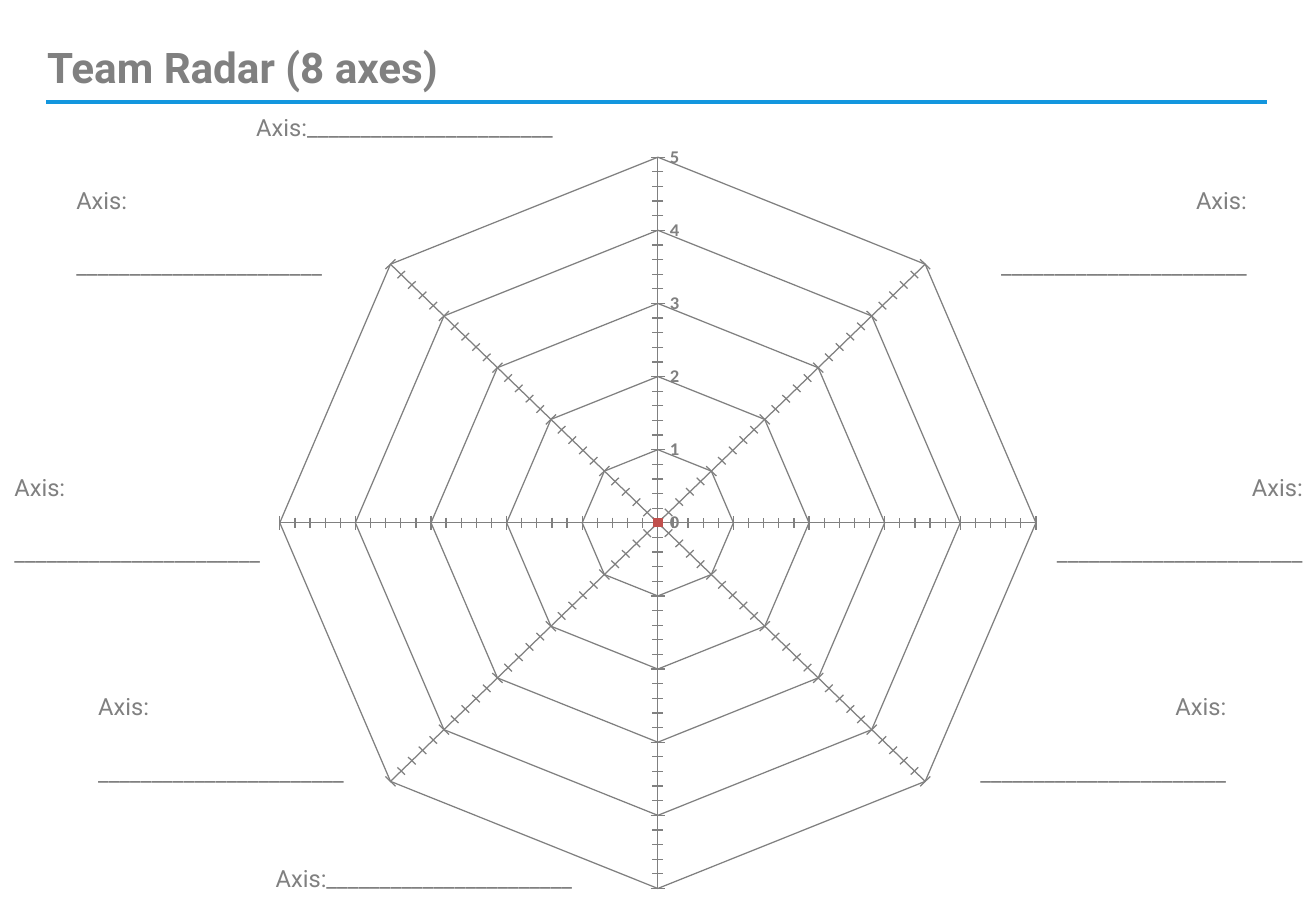
from lxml import etree
from pptx import Presentation
from pptx import util as u
from pptx.chart import data
from pptx.dml import color
from pptx.enum import chart as ch, shapes, text
from pptx.oxml import ns

PX = 9144
GREY = color.RGBColor(0x80, 0x80, 0x80)
BLUE = color.RGBColor(0x13, 0x96, 0xDE)
WHITE = color.RGBColor(0xFF, 0xFF, 0xFF)
BLACK = color.RGBColor(0, 0, 0)
SERIES = {
    "Series 1": color.RGBColor(0x4F, 0x81, 0xBD),
    "Series 2": color.RGBColor(0xC0, 0x50, 0x4D),
}
BLANK_LINE = "_" * 23
CATEGORIES = [" ", " ", " ", " ", "", "", "", " "]
PLOT = {"x": 0.164, "y": 0.062, "w": 0.637, "h": 0.83}


def emu(*px):
    return [u.Emu(n * PX) for n in px]


def add_text(s, box, lines, size, bold=False, right=False):
    sp = s.shapes.add_textbox(*emu(*box))
    tf = sp.text_frame
    tf.word_wrap = True
    for i, line in enumerate(lines):
        p = tf.add_paragraph() if i else tf.paragraphs[0]
        p.alignment = text.PP_ALIGN.RIGHT if right else text.PP_ALIGN.LEFT
        if i:
            p.space_before = u.Pt(22)
        r = p.add_run()
        r.text = line
        r.font.name = "Roboto"
        r.font.size = u.Pt(size)
        r.font.bold = bold
        r.font.color.rgb = GREY
    return sp


def add_rule(s, left, top, width):
    x1, x2, y = emu(left, left + width, top)
    line = s.shapes.add_connector(shapes.MSO_CONNECTOR.STRAIGHT, x1, y, x2, y)
    line.line.color.rgb = BLUE
    line.line.width = u.Pt(2)
    etree.SubElement(line._element.spPr, ns.qn("a:effectLst"))


def add_title(s, box):
    sp = add_text(s, box, ["Team Radar (8 axes)"], 25, bold=True)
    sp.text_frame.vertical_anchor = text.MSO_ANCHOR.MIDDLE
    sp.text_frame.paragraphs[0].line_spacing = u.Pt(27.3)


def place_plot(chart):
    area = chart._chartSpace.find(".//" + ns.qn("c:plotArea"))
    layout = area.find(ns.qn("c:layout"))
    if layout is None:
        layout = etree.Element(ns.qn("c:layout"))
        area.insert(0, layout)
    manual = etree.SubElement(layout, ns.qn("c:manualLayout"))
    settings = {"layoutTarget": "inner", "xMode": "edge", "yMode": "edge", **PLOT}
    for tag, value in settings.items():
        etree.SubElement(manual, ns.qn("c:" + tag)).set("val", str(value))


def style_line(line):
    line.color.rgb = GREY
    line.width = u.Pt(0.75)


def add_radar(s, box):
    cd = data.CategoryChartData()
    cd.categories = CATEGORIES
    for name in SERIES:
        cd.add_series(name, [0] * len(CATEGORIES))
    chart = s.shapes.add_chart(ch.XL_CHART_TYPE.RADAR_MARKERS, *emu(*box), cd).chart
    chart.has_legend = False
    chart.has_title = False
    chart.font.name = "Calibri"
    chart.font.size = u.Pt(18)
    chart.font.color.rgb = BLACK
    place_plot(chart)

    plot = chart.plots[0]
    plot.vary_by_categories = False
    for series, fill in zip(plot.series, SERIES.values()):
        series.format.line.color.rgb = fill
        series.format.line.width = u.Pt(1)
        series.marker.style = ch.XL_MARKER_STYLE.SQUARE
        series.marker.size = 5
        series.marker.format.fill.solid()
        series.marker.format.fill.fore_color.rgb = fill
        series.marker.format.line.color.rgb = fill

    for axis in (chart.category_axis, chart.value_axis):
        axis.has_major_gridlines = True
        style_line(axis.major_gridlines.format.line)
        style_line(axis.format.line)
    chart.category_axis.major_tick_mark = ch.XL_TICK_MARK.OUTSIDE

    scale = chart.value_axis
    scale.minimum_scale, scale.maximum_scale = 0, 5
    scale.major_unit, scale.minor_unit = 1, 0.2
    scale.major_tick_mark = scale.minor_tick_mark = ch.XL_TICK_MARK.CROSS
    labels = scale.tick_labels
    labels.number_format = "General"
    labels.number_format_is_linked = False
    labels.font.name = "Calibri"
    labels.font.size = u.Pt(11)
    labels.font.bold = True
    labels.font.color.rgb = GREY


def add_wide_label(s, left, top):
    return add_text(s, (left, top, 288, 34), ["Axis:" + BLANK_LINE], 14)


def add_side_labels(s, top, left, right_edge):
    lines = ["Axis:", BLANK_LINE]
    add_text(s, (left, top, 247, 81), lines, 14)
    add_text(s, (right_edge - 252, top, 252, 81), lines, 14, right=True)


def main():
    prs = Presentation()
    prs.slide_width, prs.slide_height = emu(1083, 750)
    s = prs.slides.add_slide(prs.slide_layouts[6])
    add_rule(s, 38, 84, 1005)
    add_radar(s, (70, 60, 977, 750))
    add_title(s, (29, 8, 769, 97))
    top_label = add_wide_label(s, 201, 88)
    top_label.fill.solid()
    top_label.fill.fore_color.rgb = WHITE
    for top, left, right_edge in ((148, 53, 1036), (384, 2, 1082), (565, 71, 1019)):
        add_side_labels(s, top, left, right_edge)
    add_wide_label(s, 217, 706)
    prs.save("out.pptx")


if __name__ == "__main__":
    main()
